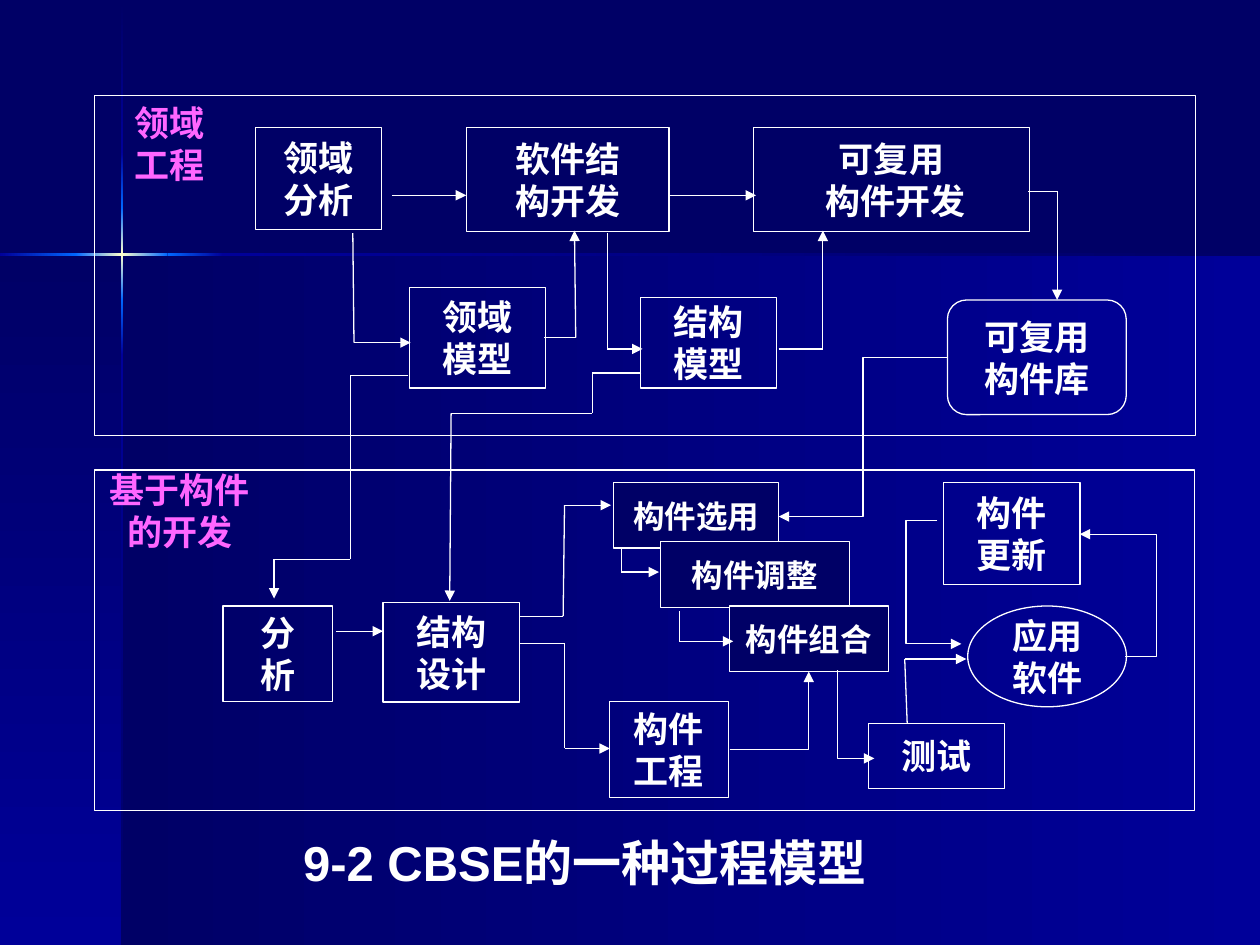
"""Build the CBSE process model slide: two framed engineering flows joined by arrows."""
import itertools

import lxml.etree
import pptx
import pptx.dml.color
import pptx.enum.shapes
import pptx.enum.text
import pptx.oxml.ns
import pptx.util

COLORS = {
    "night": "000066", "navy": "000099", "glow": "0066FF", "spark": "FFFFCC",
    "white": "FFFFFF", "pink": "FF66FF",
}
FONT = "Arial"
Pt = pptx.util.Pt
qn = pptx.oxml.ns.qn
SHAPES = pptx.enum.shapes.MSO_SHAPE
CONNECTORS = pptx.enum.shapes.MSO_CONNECTOR

ACROSS, DOWN = 180, 90
BACKDROP = [
    ((69.8, 145.4, 650.2, 394.6), ACROSS, ("navy", "night")),
    ((0, 145.4, 69.8, 394.6), DOWN, ("night", "navy")),
    ((69.1, 0.7, 1.4, 86.4), DOWN, ("night", "navy")),
    ((69.1, 203, 1.4, 337), DOWN, ("navy", "night")),
    ((127.4, 144.7, 592.6, 1.4), ACROSS, ("night", "navy")),
    ((69.1, 171.4, 1.4, 31.6), DOWN, ("glow", "navy")),
    ((69.1, 87.1, 1.4, 31.7), DOWN, ("navy", "glow")),
    ((69.1, 118.8, 1.4, 52.6), DOWN, ("glow", "spark", "glow")),
    ((0, 144.7, 43.9, 1.4), ACROSS, ("glow", "navy")),
    ((95.8, 144.7, 31.6, 1.4), ACROSS, ("navy", "glow")),
    ((43.2, 144.7, 52.6, 1.4), ACROSS, ("glow", "spark", "glow")),
]
FRAMES = [(54, 54.7, 629.3, 194.4), (54, 268.6, 628.6, 194.4)]
STEPS = [
    ("领域\n分析", (146.2, 72.7, 72, 58.3)),
    ("软件结\n构开发", (266.4, 72.7, 115.9, 59.8)),
    ("可复用\n 构件开发", (430.6, 72.7, 157.7, 59.8)),
    ("领域\n模型", (234, 164.2, 77.8, 57.6)),
    ("结构\n模型", (365.8, 169.9, 77.8, 51.8)),
    ("分\n析", (127.4, 346.3, 62.6, 54.7)),
    ("结构\n设计", (218.9, 344.2, 77.8, 56.9)),
    ("构件\n工程", (348.5, 401, 67.7, 54.7)),
    ("测试", (496.1, 413.3, 77.8, 37.4)),
    ("构件\n更新", (539.3, 275.8, 77.8, 58.3)),
]
COMPONENT_STEPS = [
    ("构件选用", (350.6, 275.8, 94.3, 37.4)),
    ("构件调整", (377.3, 309.6, 108, 37.4)),
    ("构件组合", (416.9, 346.3, 90.7, 37.4)),
]
LIBRARY = ("可复用\n构件库", (541.4, 171.4, 102.2, 65.5))
APPLICATION = ("应用\n软件", (553, 346.3, 90.7, 57.6))
STAGE_LABELS = [
    ("领域\n工程", (59.8, 54.7, 74.2, 55.4)),
    ("基于构件\n的开发", (31, 264.2, 143.3, 55.4)),
]
ROUTES = [
    [(223.9, 111.6), (266.4, 111.6)],
    [(383, 111.6), (432, 111.6)],
    [(201.6, 133.2), (202.3, 195.8), (234.7, 195.8)],
    [(347, 133.2), (347, 199.4), (367.2, 199.4)],
    [(311, 193), (329, 193), (328.3, 131.8)],
    [(445, 199.4), (470.2, 199.4), (470.2, 131.8)],
    [(587.5, 109.4), (604.1, 109.4), (604.1, 171.4)],
    [(233.3, 214.6), (200.2, 214.6), (200.2, 319.7), (156.6, 319.7), (156.6, 342)],
    [(366.5, 213.1), (338.4, 213.1), (338.4, 236.2), (257.8, 236.2), (257, 343.4)],
    [(192.2, 360.7), (218.9, 360.7)],
    [(518.4, 413.3), (517, 376.6), (552.2, 376.6)],
    [(355, 313.9), (355, 326.9), (376.6, 326.9)],
    [(388.1, 349.2), (388.1, 366.5), (419, 366.5)],
    [(296.6, 367.9), (322.6, 367.9), (322.6, 427.7), (348.5, 427.7)],
    [(296.6, 352.1), (321.8, 352.1), (322.6, 288.7), (349.2, 288.7)],
]
ELBOWS = [
    ((541.4, 204.5), (445, 295.2), 493.2, "tailEnd"),
    ((643, 375.1), (617, 305.3), 661, "tailEnd"),
    ((535.7, 297.4), (549.4, 367.9), 517.7, "tailEnd"),
    ((499.7, 433.4), (478.8, 383), None, "headEnd"),
    ((416.9, 428.4), (462.2, 383.8), None, "tailEnd"),
]


def rgb(name):
    """Return the named colour."""
    return pptx.dml.color.RGBColor.from_string(COLORS[name])


def write(frame, text, size, color="white", wrap=False):
    """Fill a text frame with centred bold paragraphs."""
    frame.text = text
    frame.word_wrap = wrap
    for paragraph in frame.paragraphs:
        paragraph.alignment = pptx.enum.text.PP_ALIGN.CENTER
        paragraph.font.name = FONT
        paragraph.font.size = Pt(size)
        paragraph.font.bold = True
        paragraph.font.color.rgb = rgb(color)


def add_band(slide, bounds, angle, stops):
    """Add a borderless gradient band, its angle measured clockwise."""
    band = slide.shapes.add_shape(SHAPES.RECTANGLE, *map(Pt, bounds))
    band.shadow.inherit = False
    band.line.fill.background()
    band.fill.gradient()
    band.fill.gradient_angle = 360 - angle
    stop_list = next(band._element.spPr.iter(qn("a:gsLst")))
    for old_stop in list(stop_list):
        stop_list.remove(old_stop)
    for index, color in enumerate(stops):
        position = 100000 * index // (len(stops) - 1)
        stop = lxml.etree.SubElement(stop_list, qn("a:gs"), pos=str(position))
        lxml.etree.SubElement(stop, qn("a:srgbClr"), val=COLORS[color])


def add_box(slide, bounds, text="", size=20, fill=None, kind=SHAPES.RECTANGLE):
    """Add a white-outlined box with optional text and fill."""
    box = slide.shapes.add_shape(kind, *map(Pt, bounds))
    box.shadow.inherit = False
    box.line.color.rgb = rgb("white")
    box.line.width = Pt(0.75)
    if fill:
        box.fill.solid()
        box.fill.fore_color.rgb = rgb(fill)
    else:
        box.fill.background()
    if text:
        write(box.text_frame, text, size)
        box.text_frame.vertical_anchor = pptx.enum.text.MSO_ANCHOR.MIDDLE


def add_label(slide, bounds, text, size, color, wrap):
    """Add free-standing text."""
    label = slide.shapes.add_textbox(*map(Pt, bounds))
    write(label.text_frame, text, size, color, wrap)


def add_line(slide, start, end, arrow=None, kind=CONNECTORS.STRAIGHT):
    """Add a white connector with an optional arrowhead and return it."""
    line = slide.shapes.add_connector(kind, *map(Pt, start + end))
    line.line.color.rgb = rgb("white")
    line.line.width = Pt(0.75)
    properties = line._element.spPr
    if arrow:
        lxml.etree.SubElement(properties.find(qn("a:ln")), qn(f"a:{arrow}"), type="triangle")
    lxml.etree.SubElement(properties, qn("a:effectLst"))
    return line


def add_route(slide, points):
    """Join points with straight lines, the last one ending in an arrow."""
    for start, end in itertools.pairwise(points):
        add_line(slide, start, end, "tailEnd" if end == points[-1] else None)


def add_elbow(slide, start, end, bend, arrow):
    """Add an elbow that turns at x = bend, or once at the corner if bend is None."""
    elbow = add_line(slide, start, end, arrow, CONNECTORS.ELBOW)
    geometry = elbow._element.spPr.find(qn("a:prstGeom"))
    if bend is None:
        geometry.set("prst", "bentConnector2")
        return
    share = round(100000 * (bend - start[0]) / (end[0] - start[0]))
    guides = geometry.find(qn("a:avLst"))
    lxml.etree.SubElement(guides, qn("a:gd"), name="adj1", fmla=f"val {share}")


def main():
    """Build and save the slide."""
    deck = pptx.Presentation()
    deck.slide_width, deck.slide_height = Pt(720), Pt(540)
    slide = deck.slides.add_slide(deck.slide_layouts[6])
    slide.background.fill.solid()
    slide.background.fill.fore_color.rgb = rgb("night")
    for bounds, angle, stops in BACKDROP:
        add_band(slide, bounds, angle, stops)
    add_label(slide, (162.7, 472.3, 342.7, 41), "9-2 CBSE的一种过程模型", 28, "white", False)
    for bounds in FRAMES:
        add_box(slide, bounds)
    for text, bounds in STEPS:
        add_box(slide, bounds, text)
    for text, bounds in COMPONENT_STEPS:
        add_box(slide, bounds, text, 18, "night")
    for (text, bounds), kind in ((LIBRARY, SHAPES.ROUNDED_RECTANGLE), (APPLICATION, SHAPES.OVAL)):
        add_box(slide, bounds, text, kind=kind)
    for text, bounds in STAGE_LABELS:
        add_label(slide, bounds, text, 20, "pink", True)
    for points in ROUTES:
        add_route(slide, points)
    for elbow in ELBOWS:
        add_elbow(slide, *elbow)
    deck.save("out.pptx")


if __name__ == "__main__":
    main()
